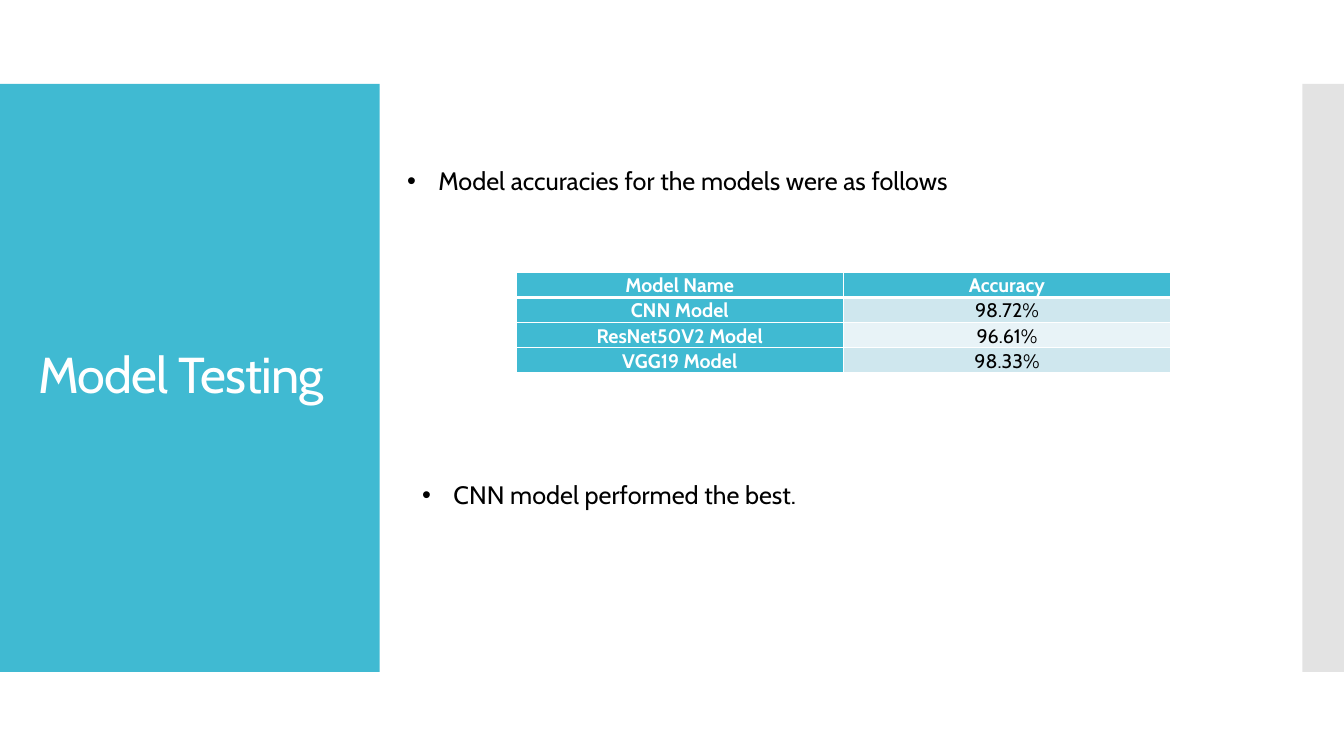
from dataclasses import dataclass
from typing import Optional

from lxml.etree import SubElement
from pptx import Presentation
from pptx.dml.color import RGBColor
from pptx.enum.shapes import MSO_SHAPE as Shape
from pptx.enum.text import MSO_ANCHOR as Anchor, PP_ALIGN as Align
from pptx.oxml.ns import qn
from pptx.util import Inches, Pt

TEAL = RGBColor(0x40, 0xBA, 0xD2)
GRAY = RGBColor(0xC8, 0xC8, 0xC8)
WHITE = RGBColor(0xFF, 0xFF, 0xFF)
BLACK = RGBColor(0x00, 0x00, 0x00)
BAND_DARK = RGBColor(0xCF, 0xE7, 0xEE)
BAND_LIGHT = RGBColor(0xE8, 0xF3, 0xF7)

WIDTH, HEIGHT = Inches(13.33), Inches(7.5)
INDENT = Inches(0.31)
ROW_HEIGHT = Inches(0.24)

TITLE_FONT = {"name": "Cabin", "size": Pt(36)}
BULLET_FONT = {"name": "Cabin", "size": Pt(18)}
HEAD_FONT = {"name": "Cabin", "size": Pt(14), "bold": True}
VALUE_FONT = {**HEAD_FONT, "bold": False}
CELL_FORMAT = {"margin_left": Inches(0.07), "margin_right": Inches(0.07),
               "margin_top": 0, "margin_bottom": 0}


@dataclass
class Box:
    """Left, top, width and height in percent of the slide."""
    x: float
    y: float
    w: float
    h: float

    def place(self) -> tuple:
        return (int(WIDTH * self.x / 100), int(HEIGHT * self.y / 100),
                int(WIDTH * self.w / 100), int(HEIGHT * self.h / 100))


@dataclass
class Panel:
    box: Box
    color: RGBColor
    opacity: Optional[int] = None


@dataclass
class Label:
    box: Box
    text: str
    font: dict
    color: RGBColor
    anchor: Anchor = Anchor.TOP
    bullet: bool = False
    line_spacing: float = 1.0
    tracking: int = 0


PANELS = [
    Panel(Box(0, 11.11, 28.25, 77.78), TEAL),
    Panel(Box(96.9, 11.11, 3.1, 77.78), GRAY, opacity=50),
]
LABELS = [
    Label(Box(2.1, 16.4, 24.15, 67.07), "Model Testing", TITLE_FONT, WHITE,
          anchor=Anchor.MIDDLE, line_spacing=0.9, tracking=-60),
    Label(Box(29.55, 21.2, 66.3, 13.47),
          "Model accuracies for the models were as follows",
          BULLET_FONT, BLACK, bullet=True),
    Label(Box(30.68, 62.8, 60.4, 5.33), "CNN model performed the best.",
          BULLET_FONT, BLACK, bullet=True),
]
TABLE_BOX = Box(38.4, 36, 48.7, 12.8)
ACCURACIES = [
    ("Model Name", "Accuracy"),
    ("CNN Model", "98.72%"),
    ("ResNet50V2 Model", "96.61%"),
    ("VGG19 Model", "98.33%"),
]


def apply(target, formats: dict) -> None:
    for name, value in formats.items():
        setattr(target, name, value)


def write(p, text: str, font: dict, color: RGBColor):
    r = p.add_run()
    r.text = text
    apply(r.font, font)
    r.font.color.rgb = color
    return r


def draw_panel(s, panel: Panel) -> None:
    sp = s.shapes.add_shape(Shape.RECTANGLE, *panel.box.place())
    sp.shadow.inherit = False
    sp.fill.solid()
    sp.fill.fore_color.rgb = panel.color
    sp.line.fill.background()
    if panel.opacity is not None:
        color = sp.fill._xPr.find(".//" + qn("a:srgbClr"))
        SubElement(color, qn("a:alpha"), val=str(panel.opacity * 1000))


def draw_label(s, label: Label) -> None:
    tf = s.shapes.add_textbox(*label.box.place()).text_frame
    apply(tf, {"word_wrap": True, "vertical_anchor": label.anchor})
    p = tf.paragraphs[0]
    p.line_spacing = label.line_spacing
    r = write(p, label.text, label.font, label.color)
    if label.tracking:
        r.font._element.set("spc", str(label.tracking))
    if label.bullet:
        props = p._p.get_or_add_pPr()
        props.set("marL", str(INDENT))
        props.set("indent", str(-INDENT))
        SubElement(props, qn("a:buFont"), typeface="Arial")
        SubElement(props, qn("a:buChar"), char="•")


def draw_borders(cell, widths: dict) -> None:
    props = cell._tc.get_or_add_tcPr()
    for side, width in widths.items():
        line = SubElement(props, qn("a:ln" + side), w=str(Pt(width)))
        fill = SubElement(line, qn("a:solidFill"))
        SubElement(fill, qn("a:srgbClr"), val=str(WHITE))


def draw_table(s, box: Box, rows: list) -> None:
    x, y, w, _ = box.place()
    table = s.shapes.add_table(len(rows), len(rows[0]), x, y, w,
                               ROW_HEIGHT * len(rows)).table
    for i, row in enumerate(rows):
        for j, text in enumerate(row):
            cell = table.cell(i, j)
            is_head = i == 0 or j == 0
            band = BAND_DARK if i % 2 else BAND_LIGHT
            # The rule under the header row is heavier
            draw_borders(cell, {"L": 1, "R": 1, "T": 3 if i == 1 else 1,
                                "B": 3 if i == 0 else 1})
            cell.fill.solid()
            cell.fill.fore_color.rgb = TEAL if is_head else band
            apply(cell, CELL_FORMAT)
            p = cell.text_frame.paragraphs[0]
            apply(p, {"alignment": Align.CENTER, "line_spacing": 1.07})
            write(p, text, HEAD_FONT if is_head else VALUE_FONT,
                  WHITE if is_head else BLACK)


def main() -> None:
    prs = Presentation()
    apply(prs, {"slide_width": WIDTH, "slide_height": HEIGHT})
    s = prs.slides.add_slide(prs.slide_layouts[6])
    # Side panels
    for panel in PANELS:
        draw_panel(s, panel)
    # Title and bullets
    for label in LABELS:
        draw_label(s, label)
    # Accuracy table
    draw_table(s, TABLE_BOX, ACCURACIES)
    prs.save("out.pptx")


if __name__ == "__main__":
    main()
